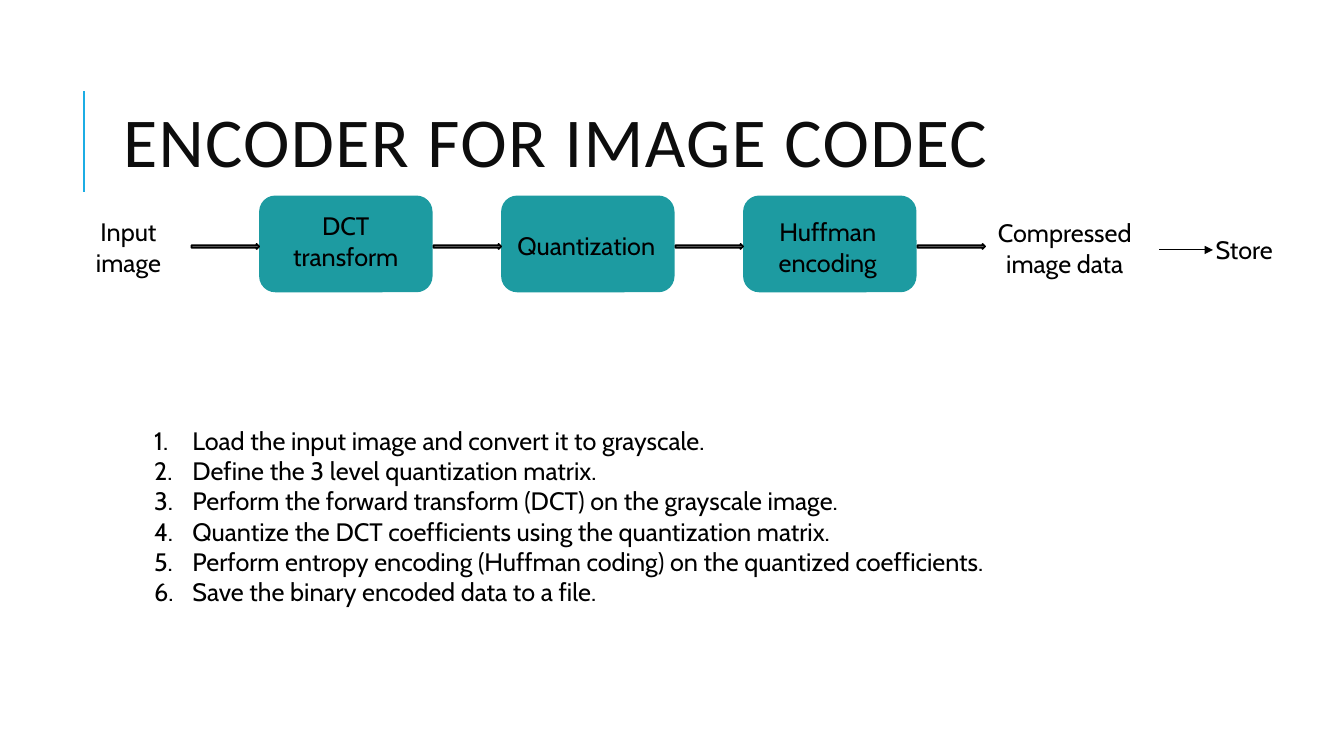
from lxml.etree import SubElement
from pptx import Presentation
from pptx.dml.color import RGBColor
from pptx.enum.shapes import MSO_CONNECTOR, MSO_SHAPE
from pptx.enum.text import MSO_ANCHOR, MSO_AUTO_SIZE, PP_ALIGN
from pptx.oxml.ns import qn
from pptx.util import Pt

SCALE = 9144  # EMU per px, 100 px to the inch
BLACK, TEAL, BLUE = "000000", "1D9BA1", "1CADE4"

STEPS = [
    "Load the input image and convert it to grayscale.",
    "Define the 3 level quantization matrix.",
    "Perform the forward transform (DCT) on the grayscale image.",
    "Quantize the DCT coefficients using the quantization matrix.",
    "Perform entropy encoding (Huffman coding) on the quantized coefficients.",
    "Save the binary encoded data to a file.",
]
# Label lines with left, top, width, height inside the flow box
LABELS = [
    (["Input", "image"], (0, 16, 143, 73)),
    (["DCT", "transform"], (200, 10, 174, 73)),
    (["Quantization"], (427, 30, 197, 42)),
    (["Huffman", "encoding"], (678, 16, 174, 73)),
    (["Compressed image data"], (906, 17, 188, 73)),
    (["Store"], (1084, 34, 188, 42)),
]


def px(*nums):
    return [n * SCALE for n in nums]


def color(text):
    return RGBColor.from_string(text)


def add_run(para, text, size=18, font="Cabin", ink=BLACK):
    run = para.add_run()
    run.text = text
    run.font.size = Pt(size)
    run.font.name = font
    run.font.color.rgb = color(ink)
    return run


def add_text(slide, box, lines, align):
    frame = slide.shapes.add_textbox(*px(*box)).text_frame
    frame.word_wrap = True
    for i, line in enumerate(lines):
        para = frame.add_paragraph() if i else frame.paragraphs[0]
        para.alignment = align
        add_run(para, line)
    return frame


def add_shape(slide, kind, box, fill, edge=None):
    shape = slide.shapes.add_shape(kind, *px(*box))
    shape.shadow.inherit = False
    shape.fill.solid()
    shape.fill.fore_color.rgb = color(fill)
    if edge:
        shape.line.color.rgb = color(edge)
        shape.line.width = Pt(1.25)
    else:
        shape.line.fill.background()


def add_line(slide, kind, ends, ink, width):
    line = slide.shapes.add_connector(kind, *px(*ends))
    line.line.color.rgb = color(ink)
    line.line.width = Pt(width)
    SubElement(line._element.spPr, qn("a:effectLst"))
    return line


def add_title(slide, left, top, width, height):
    # Accent rule beside the title
    bar = left - 29
    add_line(slide, MSO_CONNECTOR.STRAIGHT,
             (bar, top + 126, bar, top + 26), BLUE, 1.5)
    title = slide.shapes.title
    title.left, title.top, title.width, title.height = px(
        left, top, width, height)
    frame = title.text_frame
    frame.word_wrap = True
    frame.auto_size = MSO_AUTO_SIZE.NONE
    frame.vertical_anchor = MSO_ANCHOR.MIDDLE
    para = frame.paragraphs[0]
    para.alignment = PP_ALIGN.LEFT
    para.line_spacing = 0.8
    run = add_run(para, "ENCODER FOR IMAGE CODEC", 50, "Calibri", "0D0D0D")
    run.font._element.set("spc", "100")


def add_flow(slide, left, top):
    # Stage boxes, then the block arrows around them
    first, pitch, wide, high, gap = left + 201, 240, 172, 96, 67
    for i in range(3):
        add_shape(slide, MSO_SHAPE.ROUNDED_RECTANGLE,
                  (first + i * pitch, top, wide, high), TEAL)
    for i in range(4):
        add_shape(slide, MSO_SHAPE.RIGHT_ARROW,
                  (first - gap + i * pitch, top + 48, gap, 5),
                  "808080", BLACK)
    # Labels
    for lines, (x, y, w, h) in LABELS:
        add_text(slide, (left + x, top + y, w, h), lines, PP_ALIGN.CENTER)
    # Thin arrow to the store
    mid = top + 54
    line = add_line(slide, MSO_CONNECTOR.ELBOW,
                    (left + 1094, mid, left + 1147, mid), BLACK, 0.75)
    SubElement(line.line._get_or_add_ln(), qn("a:tailEnd"), type="triangle")


def add_steps(slide, left, top, width, height):
    frame = add_text(slide, (left, top, width, height), STEPS, PP_ALIGN.LEFT)
    indent = 38 * SCALE
    for para in frame.paragraphs:
        props = para._p.get_or_add_pPr()
        props.set("marL", str(indent))
        props.set("indent", str(-indent))
        SubElement(props, qn("a:buFont"), typeface="+mj-lt")
        SubElement(props, qn("a:buAutoNum"), type="arabicPeriod")


def main():
    deck = Presentation()
    deck.slide_width, deck.slide_height = px(1333, 750)
    slide = deck.slides.add_slide(deck.slide_layouts.get_by_name("Title Only"))
    add_title(slide, 112, 64, 1063, 164)
    add_flow(slide, 56, 194)
    add_steps(slide, 143, 417, 1102, 222)
    deck.save("out.pptx")


if __name__ == "__main__":
    main()
